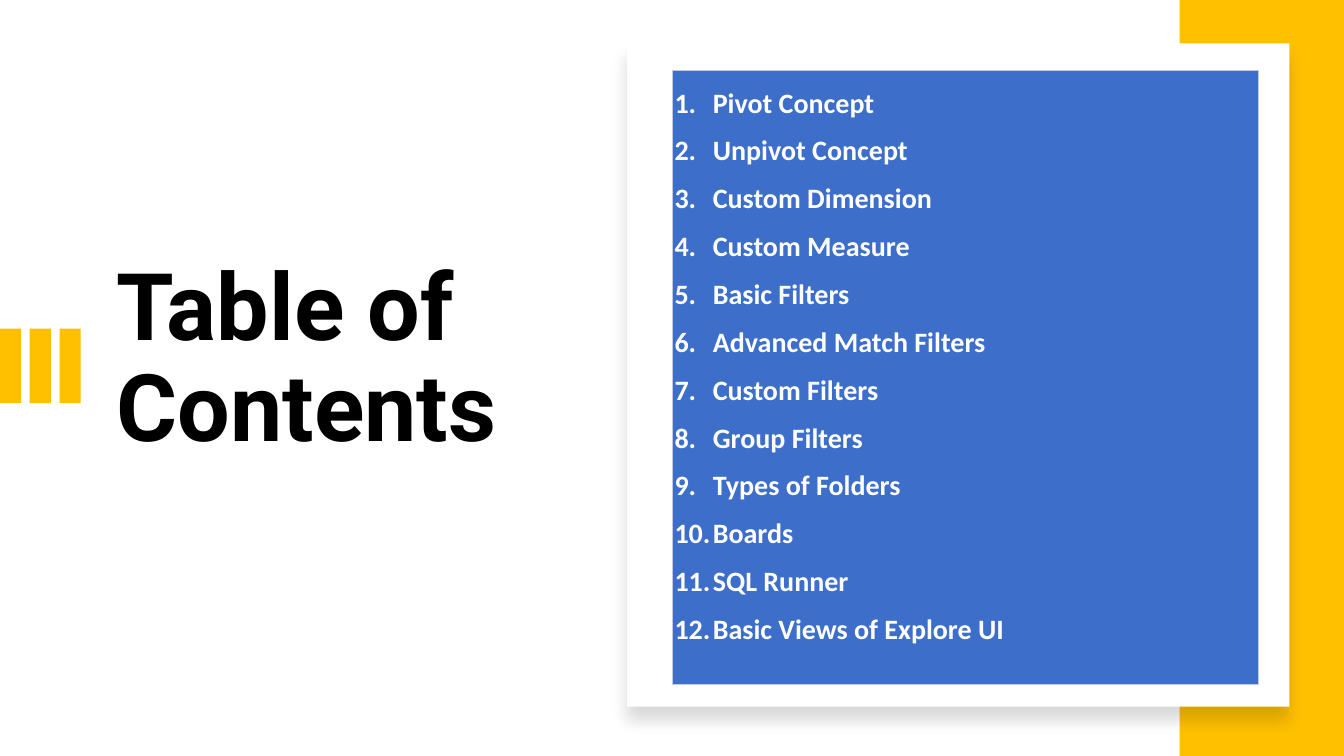
from dataclasses import dataclass

from lxml.etree import SubElement
from pptx import Presentation
from pptx.dml.color import RGBColor
from pptx.enum.shapes import MSO_SHAPE
from pptx.enum.text import MSO_ANCHOR, MSO_AUTO_SIZE, PP_ALIGN
from pptx.oxml.ns import qn
from pptx.util import Emu, Inches, Pt


@dataclass(frozen=True)
class Theme:
    gold: str = "FFC000"
    white: str = "FFFFFF"
    black: str = "000000"
    blue: str = "3D6EC9"
    border: str = "C1C9E4"
    title_font: str = "Roboto"
    body_font: str = "Calibri"
    title_size: float = 66.6
    body_size: float = 20


@dataclass(frozen=True)
class Block:
    left: float
    top: float
    width: float
    height: float
    color: str


THEME = Theme()
TOPICS = [
    "Pivot Concept", "Unpivot Concept", "Custom Dimension", "Custom Measure",
    "Basic Filters", "Advanced Match Filters", "Custom Filters", "Group Filters",
    "Types of Folders", "Boards", "SQL Runner", "Basic Views of Explore UI",
]
ROW_HEIGHTS = [5.72, 0.37]
ACCENT_BARS = [Block(0.295 * index, 3.26, 0.21, 0.74, THEME.gold) for index in range(3)]
SIDE_BAND = Block(11.7, 0, 1.63, 7.5, THEME.gold)
CARD = Block(6.22, 0.43, 6.57, 6.58, THEME.white)


def apply_format(target, values: dict) -> None:
    for name, value in values.items():
        setattr(target, name, value)


def format_font(font, name: str, size: float, color: str) -> None:
    apply_format(font, {"name": name, "size": Pt(size), "bold": True})
    font.color.rgb = RGBColor.from_string(color)


def add_block(shapes, block: Block):
    shape = shapes.add_shape(
        MSO_SHAPE.RECTANGLE, Inches(block.left), Inches(block.top),
        Inches(block.width), Inches(block.height))
    shape.shadow.inherit = False
    shape.fill.solid()
    shape.fill.fore_color.rgb = RGBColor.from_string(block.color)
    shape.line.fill.background()
    return shape


def add_color(parent, color: str):
    fill = SubElement(parent, qn("a:solidFill"))
    return SubElement(fill, qn("a:srgbClr"), val=color)


def add_soft_shadow(shape) -> None:
    effects = shape.element.spPr.find(qn("a:effectLst"))
    shadow = SubElement(
        effects, qn("a:outerShdw"), blurRad=str(Pt(11)), dist=str(Pt(10)),
        dir="5400000", algn="t", rotWithShape="0")
    color = SubElement(shadow, qn("a:srgbClr"), val=THEME.black)
    SubElement(color, qn("a:alpha"), val="15000")


def format_cell(cell, sides: str) -> None:
    properties = cell._tc.get_or_add_tcPr()
    for side in "LRTB":
        line = SubElement(properties, qn(f"a:ln{side}"), w=str(Pt(0.5)))
        if side in sides:
            add_color(line, THEME.border)
        else:
            SubElement(line, qn("a:noFill"))
    cell.fill.solid()
    cell.fill.fore_color.rgb = RGBColor.from_string(THEME.blue)
    apply_format(cell, {
        "margin_left": Inches(0.02), "margin_right": Inches(0.02),
        "margin_top": Inches(0.02), "margin_bottom": Emu(0),
        "vertical_anchor": MSO_ANCHOR.BOTTOM})


def add_topic(paragraph, topic: str) -> None:
    properties = paragraph._p.get_or_add_pPr()
    properties.set("marL", str(Inches(0.38)))
    properties.set("indent", str(Inches(-0.38)))
    SubElement(properties, qn("a:buFont"), typeface="+mj-lt")
    SubElement(properties, qn("a:buAutoNum"), type="arabicPeriod")
    tabs = SubElement(properties, qn("a:tabLst"))
    SubElement(tabs, qn("a:tab"), pos=str(Inches(0.5)), algn="l")
    apply_format(paragraph, {"line_spacing": 1.07, "space_after": Pt(8)})
    run = paragraph.add_run()
    run.text = topic
    format_font(run.font, THEME.body_font, THEME.body_size, THEME.white)


def add_title(slide) -> None:
    title = slide.shapes.title
    apply_format(title, {"left": Inches(1.06), "top": Inches(2.53),
                         "width": Inches(4.41), "height": Inches(2.61)})
    apply_format(title.text_frame, {
        "word_wrap": True, "auto_size": MSO_AUTO_SIZE.NONE,
        "vertical_anchor": MSO_ANCHOR.TOP})
    paragraph = title.text_frame.paragraphs[0]
    apply_format(paragraph, {"alignment": PP_ALIGN.LEFT, "line_spacing": 0.9,
                             "space_before": Pt(0), "space_after": Pt(6)})
    run = paragraph.add_run()
    run.text = "Table of Contents"
    format_font(run.font, THEME.title_font, THEME.title_size, THEME.black)


def add_contents_table(slide) -> None:
    table = slide.shapes.add_table(
        len(ROW_HEIGHTS), 1, Inches(6.67), Inches(0.7),
        Inches(5.81), Inches(sum(ROW_HEIGHTS))).table
    apply_format(table, {"first_row": False, "horz_banding": False})
    for row, height in zip(table.rows, ROW_HEIGHTS):
        row.height = Inches(height)
    topics_cell, footer_cell = table.cell(0, 0), table.cell(1, 0)
    format_cell(topics_cell, "LRT")
    format_cell(footer_cell, "LRB")
    frame = topics_cell.text_frame
    for index, topic in enumerate(TOPICS):
        paragraph = frame.add_paragraph() if index else frame.paragraphs[0]
        add_topic(paragraph, topic)


def main() -> None:
    presentation = Presentation()
    apply_format(presentation, {"slide_width": Inches(13.33),
                                "slide_height": Inches(7.5)})
    slide = presentation.slides.add_slide(presentation.slide_layouts[5])

    # Title and accent bars
    add_title(slide)
    accent_group = slide.shapes.add_group_shape()
    for bar in ACCENT_BARS:
        add_block(accent_group.shapes, bar)

    # Side band and white card
    add_block(slide.shapes, SIDE_BAND)
    add_soft_shadow(add_block(slide.shapes, CARD))

    # Numbered contents
    add_contents_table(slide)
    presentation.save("out.pptx")


if __name__ == "__main__":
    main()
